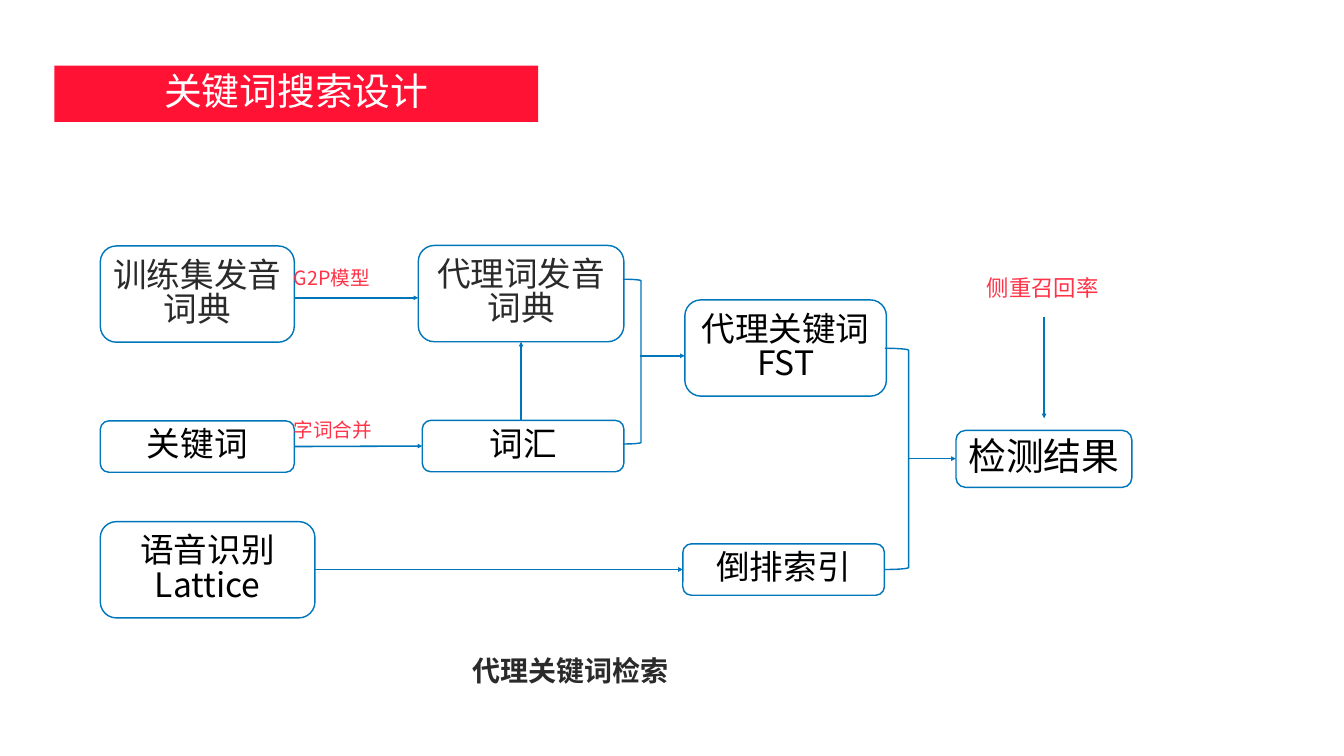
from lxml.etree import SubElement
from pptx import Presentation
from pptx.dml.color import RGBColor
from pptx.enum.shapes import MSO_CONNECTOR as Link, MSO_SHAPE as Shape
from pptx.enum.text import MSO_ANCHOR as Anchor, MSO_AUTO_SIZE as Auto, PP_ALIGN as Align
from pptx.oxml.ns import qn
from pptx.util import Pt

PX = 9144  # 100 px to the inch
FONT = "Noto Sans CJK SC"
HUE = {"red": "FF1233", "pink": "FF3348", "blue": "0076BA",
       "white": "FFFFFF", "black": "000000", "dark": "2A2A2A"}


def rgb(name):
    return RGBColor.from_string(HUE[name])


def write(shape, text, size=48, color="black", bold=False, align=Align.CENTER, wrap=True):
    frame = shape.text_frame
    frame.auto_size = Auto.NONE
    frame.word_wrap = wrap
    frame.vertical_anchor = Anchor.MIDDLE
    frame.margin_left = frame.margin_right = 6 * PX
    frame.margin_top = frame.margin_bottom = 6 * PX
    frame.text = text
    para = frame.paragraphs[0]
    para.alignment = align
    para.line_spacing = 0.85
    font = para.runs[0].font
    font.name, font.size, font.bold = FONT, Pt(size), bold
    font.color.rgb = rgb(color)
    SubElement(font._element, qn("a:ea"), typeface=FONT)


deck = Presentation()
deck.slide_width, deck.slide_height = 2667 * PX, 1500 * PX
slide = deck.slides.add_slide(deck.slide_layouts[5])
shapes = slide.shapes

# Title on a red rounded bar
title = shapes.title
title.left, title.top, title.width, title.height = [n * PX for n in (108, 130, 960, 112)]
geom = SubElement(title._element.spPr, qn("a:prstGeom"), prst="roundRect")
guides = SubElement(geom, qn("a:avLst"))
SubElement(guides, qn("a:gd"), name="adj", fmla="val 20100")
title.fill.solid()
title.fill.fore_color.rgb = rgb("red")
write(title, "关键词搜索设计", size=54, color="white")

# Steps of the flow
boxes = [
    ("训练集发音词典", 199, 488, 385, 191, 48, "dark"),
    ("代理词发音词典", 830, 487, 408, 191, 48, "dark"),
    ("关键词", 199, 835, 385, 102, 48, "black"),
    ("词汇", 838, 834, 400, 102, 48, "black"),
    ("语音识别Lattice", 199, 1035, 426, 191, 48, "black"),
    ("代理关键词FST", 1359, 595, 400, 191, 48, "black"),
    ("倒排索引", 1355, 1079, 400, 102, 48, "black"),
    ("检测结果", 1897, 854, 349, 113, 54, "black"),
]
for text, x, y, w, h, size, color in boxes:
    box = shapes.add_shape(Shape.ROUNDED_RECTANGLE, x * PX, y * PX, w * PX, h * PX)
    box.shadow.inherit = False
    box.fill.solid()
    box.fill.fore_color.rgb = rgb("white")
    box.line.color.rgb = rgb("blue")
    box.line.width = Pt(2)
    write(box, text, size=size, color=color)

# Brackets that join two steps
for x, y, w, h in [(1236, 554, 36, 327), (1756, 691, 47, 439)]:
    join = shapes.add_shape(Shape.RIGHT_BRACKET, x * PX, y * PX, w * PX, h * PX)
    join.shadow.inherit = False
    join.fill.background()
    join.line.color.rgb = rgb("blue")
    join.line.width = Pt(2)

# Arrows
arrows = [
    (584, 591, 830, 591), (584, 886, 838, 885), (625, 1130, 1355, 1130),
    (1034, 835, 1034, 678), (1271, 706, 1359, 706), (1803, 910, 1897, 910),
    (2072, 628, 2072, 830),
]
for ends in arrows:
    arrow = shapes.add_connector(Link.STRAIGHT, *[n * PX for n in ends])
    arrow.line.color.rgb = rgb("blue")
    arrow.line.width = Pt(2.25)
    SubElement(arrow.line._get_or_add_ln(), qn("a:tailEnd"), type="triangle")
    SubElement(arrow._element.spPr, qn("a:effectLst"))

# Labels and caption
labels = [
    ("G2P模型", 577, 525, 217, 58, 28, "pink", False),
    ("字词合并", 577, 828, 217, 58, 28, "pink", False),
    ("侧重召回率", 1952, 542, 248, 66, 32, "pink", False),
    ("代理关键词检索", 932, 1295, 423, 79, 40, "dark", True),
]
for text, x, y, w, h, size, color, bold in labels:
    label = shapes.add_textbox(x * PX, y * PX, w * PX, h * PX)
    write(label, text, size=size, color=color, bold=bold, align=Align.LEFT, wrap=False)

deck.save("out.pptx")
